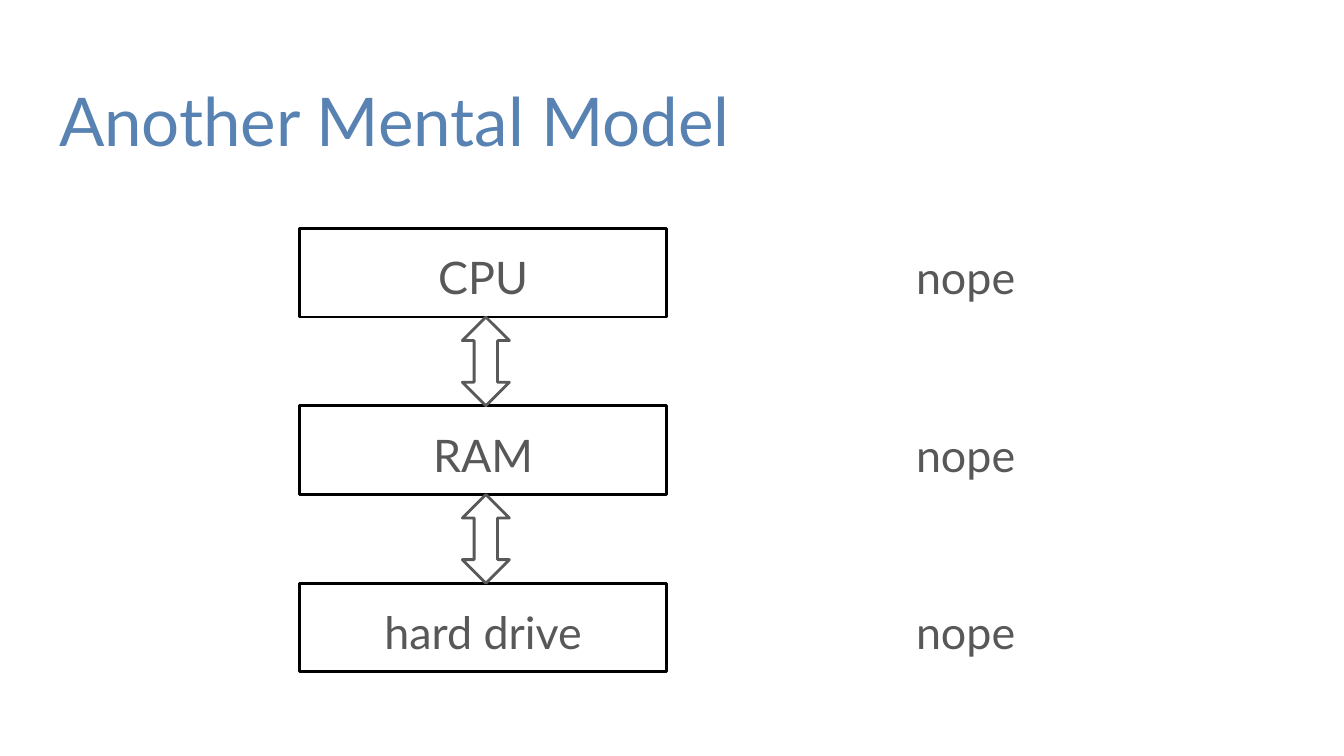
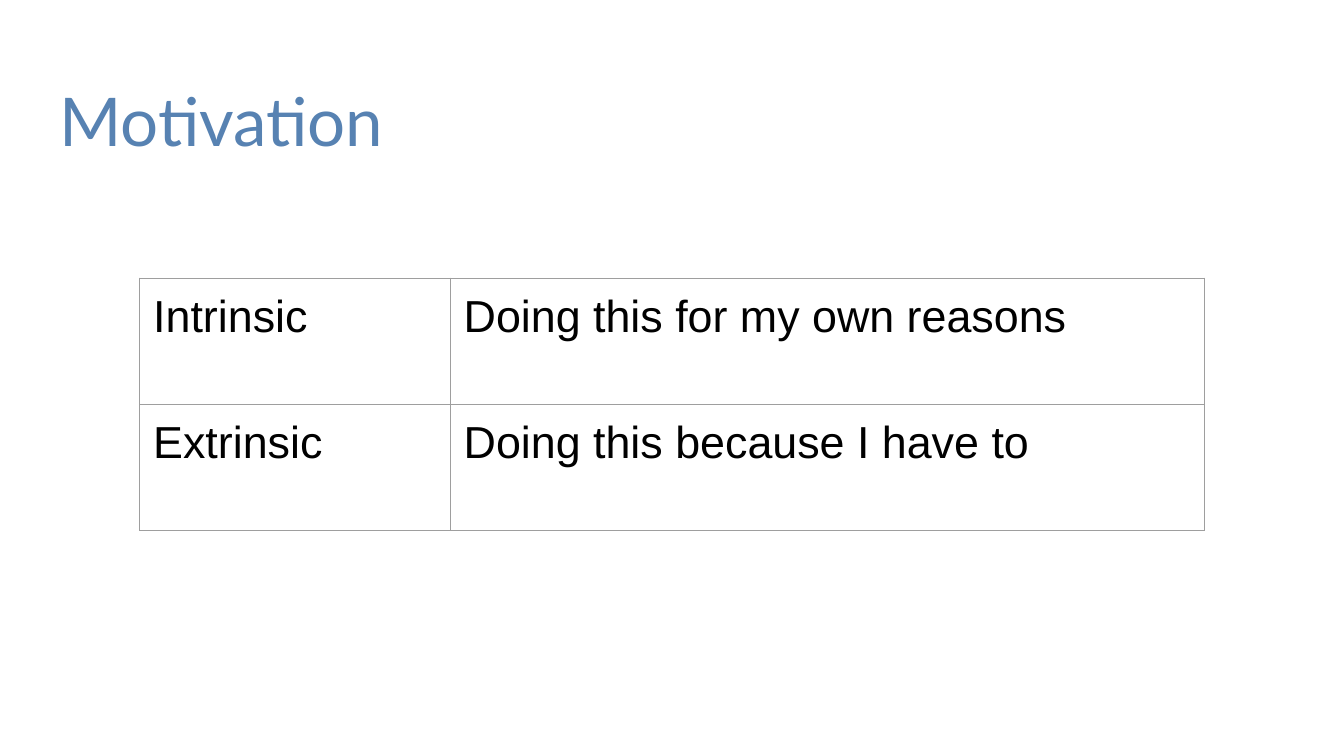
import pptx
import pptx.util
import pptx.dml.color
import pptx.enum.shapes
import pptx.enum.text
import pptx.oxml
import pptx.oxml.ns

Inches, Pt = pptx.util.Inches, pptx.util.Pt
RGBColor = pptx.dml.color.RGBColor
SHAPE = pptx.enum.shapes.MSO_SHAPE
ALIGN = pptx.enum.text.PP_ALIGN
ANCHOR = pptx.enum.text.MSO_ANCHOR

BLUE = RGBColor(0x57, 0x82, 0xB2)
GREY = RGBColor(0x58, 0x58, 0x58)
ARROW_GREY = RGBColor(0x59, 0x59, 0x59)
BORDER_GREY = RGBColor(0x9E, 0x9E, 0x9E)
BLACK = RGBColor(0, 0, 0)

MODEL_TITLE = "Another Mental Model"
MODEL = [("CPU", "nope"), ("RAM", "nope"), ("hard drive", "nope")]
MOTIVATION_TITLE = "Motivation"
MOTIVATION = [
    ("Intrinsic", "Doing this for my own reasons"),
    ("Extrinsic", "Doing this because I have to"),
]

SLIDE_WIDTH = 10
SLIDE_SIZE = (SLIDE_WIDTH, SLIDE_WIDTH * 9 / 16)
INSET = 0.1
TITLE_AREA = (0.34, 0.49, 9.32, 0.77)
PART_LEFT, ANSWER_LEFT = 2.23, 5.82
MODEL_TOP, PART_WIDTH, PART_HEIGHT = 1.7, 2.73, 0.66
ARROW_LEFT, ARROW_WIDTH = 3.44, 0.35
TABLE_LEFT, TABLE_TOP = 1.04, 2.07
COLUMN_WIDTHS, ROW_HEIGHT = (2.31, 5.61), 0.94


def inches(*lengths):
    return [Inches(length) for length in lengths]


def write(frame, text, size, color, font="Lato"):
    frame.text = text
    para = frame.paragraphs[0]
    para.alignment = ALIGN.LEFT
    for span in para.runs:
        span.font.name = font
        span.font.size = Pt(size)
        span.font.color.rgb = color
    return para


def set_margins(holder):
    """Inset and top-align a text frame or a table cell."""
    holder.margin_left = holder.margin_right = Inches(INSET)
    holder.margin_top = holder.margin_bottom = Inches(INSET)
    holder.vertical_anchor = ANCHOR.TOP


def write_box(box, text, size, color):
    frame = box.text_frame
    frame.word_wrap = True
    frame.auto_size = pptx.enum.text.MSO_AUTO_SIZE.NONE
    set_margins(frame)
    return write(frame, text, size, color)


def add_page(deck, title):
    page = deck.slides.add_slide(deck.slide_layouts[5])
    box = page.shapes.title
    box.left, box.top, box.width, box.height = inches(*TITLE_AREA)
    write_box(box, title, 36, BLUE)
    return page


def add_outline(page, kind, area, color):
    shape = page.shapes.add_shape(kind, *inches(*area))
    shape.shadow.inherit = False
    shape.fill.background()
    shape.line.color.rgb = color
    shape.line.width = Pt(1.5)
    return shape


def write_label(box, text):
    para = write_box(box, text, 24, GREY)
    para.alignment = ALIGN.CENTER
    para.line_spacing = 1.15
    para.space_after = Pt(16)


def add_model(page):
    for row, (part, answer) in enumerate(MODEL):
        top = MODEL_TOP + 2 * row * PART_HEIGHT
        size = (PART_WIDTH, PART_HEIGHT)
        box = add_outline(page, SHAPE.RECTANGLE, (PART_LEFT, top, *size), BLACK)
        write_label(box, part)
        write_label(page.shapes.add_textbox(*inches(ANSWER_LEFT, top, *size)), answer)
        if row:
            area = (ARROW_LEFT, top - PART_HEIGHT, ARROW_WIDTH, PART_HEIGHT)
            arrow = add_outline(page, SHAPE.UP_DOWN_ARROW, area, ARROW_GREY)
            arrow.adjustments[0] = arrow.adjustments[1] = 0.5


def add_borders(cell):
    properties = cell._tc.get_or_add_tcPr()
    for place, side in enumerate(("lnL", "lnR", "lnT", "lnB")):
        border = pptx.oxml.parse_xml(
            f'<a:{side} {pptx.oxml.ns.nsdecls("a")} w="{Pt(0.75)}"><a:solidFill>'
            f'<a:srgbClr val="{BORDER_GREY}"/></a:solidFill></a:{side}>'
        )
        properties.insert(place, border)


def add_table(page, rows):
    frame = page.shapes.add_table(
        len(rows), len(COLUMN_WIDTHS),
        *inches(TABLE_LEFT, TABLE_TOP, sum(COLUMN_WIDTHS), ROW_HEIGHT * len(rows)),
    )
    table = frame.table
    table.first_row = table.horz_banding = False
    for column, width in zip(table.columns, COLUMN_WIDTHS):
        column.width = Inches(width)
    for table_row, texts in zip(table.rows, rows):
        table_row.height = Inches(ROW_HEIGHT)
        for cell, text in zip(table_row.cells, texts):
            write(cell.text_frame, text, 24, BLACK, "Arial")
            set_margins(cell)
            cell.fill.background()
            add_borders(cell)


def main():
    deck = pptx.Presentation()
    deck.slide_width, deck.slide_height = inches(*SLIDE_SIZE)
    add_model(add_page(deck, MODEL_TITLE))
    add_table(add_page(deck, MOTIVATION_TITLE), MOTIVATION)
    deck.save("out.pptx")


if __name__ == "__main__":
    main()
